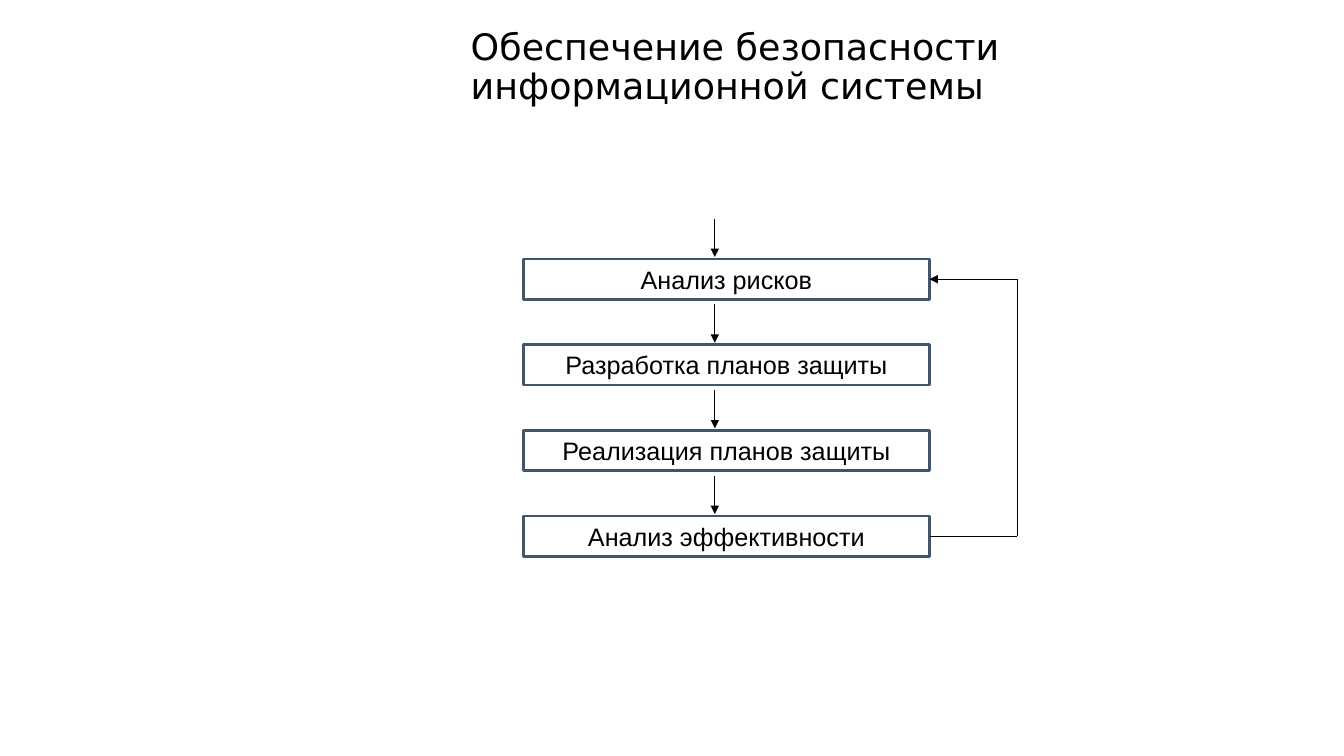
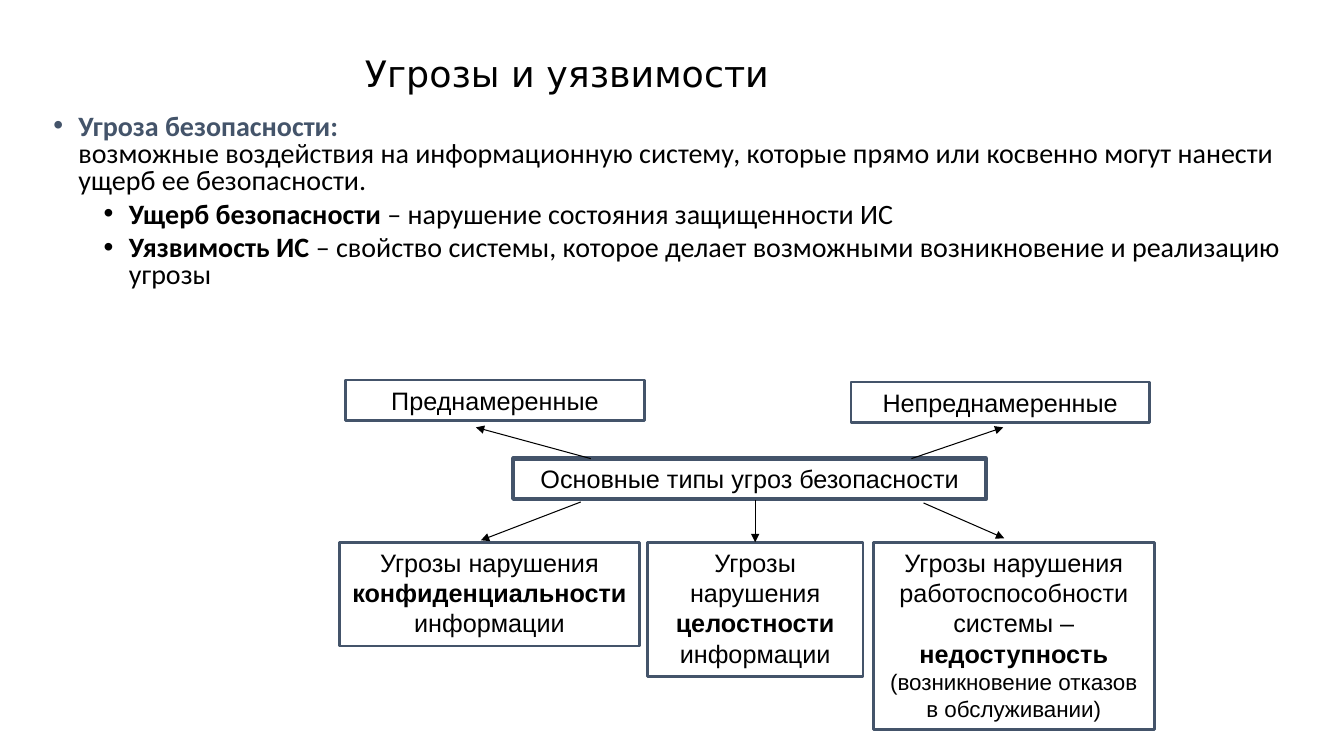
from lxml import etree
from pptx import Presentation
from pptx.dml.color import RGBColor
from pptx.enum.shapes import MSO_CONNECTOR, MSO_SHAPE
from pptx.enum.text import MSO_ANCHOR, MSO_AUTO_SIZE, PP_ALIGN
from pptx.oxml.ns import qn
from pptx.util import Inches, Pt

RECTANGLE, STRAIGHT = MSO_SHAPE.RECTANGLE, MSO_CONNECTOR.STRAIGHT
LEFT, CENTER = PP_ALIGN.LEFT, PP_ALIGN.CENTER
TOP, MIDDLE = MSO_ANCHOR.TOP, MSO_ANCHOR.MIDDLE
FIT = MSO_AUTO_SIZE.SHAPE_TO_FIT_TEXT
BOTTOM_SIDE_RIGHT, TOP_SIDE = 3, 0

# Theme
BLACK, SLATE = RGBColor(0, 0, 0), RGBColor(0x44, 0x54, 0x6A)
THEME = {
    "title": {"name": "DejaVu Sans", "size": Pt(26)},
    "body": {"name": "Calibri", "size": Pt(20)},
    "box": {"name": "Arial", "size": Pt(18)},
    "note": {"name": "Arial", "size": Pt(16)},
    "bold": {"bold": True},
    "outline": 2, "strong_outline": 3, "arrow": 0.75,
}
TITLE_SIZE = (7.65, 1.25)

# Content: security cycle
CYCLE_TITLE = "Обеспечение безопасности информационной системы"
CYCLE_STEPS = ["Анализ рисков", "Разработка планов защиты",
               "Реализация планов защиты", "Анализ эффективности"]
CYCLE_LEFT, CYCLE_TOP, CYCLE_PITCH = 5.19, 2.57, 0.85
STEP_WIDTH, STEP_HEIGHT = 4.03, 0.4
ARROW_X, RETURN_X = 7.09, 10.09

# Content: threats
THREATS_TITLE = "Угрозы и уязвимости"
# level, term, term colour, break after the term, explanation
DEFINITIONS = [
    (0, "Угроза безопасности:", SLATE, True,
     "возможные воздействия на информационную систему, которые прямо или "
     "косвенно могут нанести ущерб ее безопасности."),
    (1, "Ущерб безопасности", BLACK, False,
     " – нарушение состояния защищенности ИС"),
    (1, "Уязвимость ИС", BLACK, False,
     " – свойство системы, которое делает возможными возникновение и "
     "реализацию угрозы"),
]
# left, top, width, height, outline, runs as (text, bold, style)
THREAT_BOXES = {
    "types": (5.09, 4.55, 4.69, 0.4, "strong_outline",
              [("Основные типы угроз безопасности", False, "box")]),
    "intended": (3.43, 3.77, 2.96, 0.4, "outline",
                 [("Преднамеренные", False, "box")]),
    "unintended": (8.44, 3.79, 2.96, 0.4, "outline",
                   [("Непреднамеренные", False, "box")]),
    "confidentiality": (3.37, 5.38, 2.97, 1.03, "outline",
                        [("Угрозы нарушения ", False, "box"),
                         ("конфиденциальности", True, "box"),
                         (" информации", False, "box")]),
    "integrity": (6.42, 5.38, 2.14, 1.33, "outline",
                  [("Угрозы нарушения ", False, "box"),
                   ("целостности", True, "box"),
                   (" информации", False, "box")]),
    "availability": (8.66, 5.38, 2.79, 1.86, "outline",
                     [("Угрозы нарушения работоспособности системы – ", False, "box"),
                      ("недоступность ", True, "box"),
                      ("(возникновение отказов в обслуживании)", False, "note")]),
}
THREAT_ARROWS = [
    ((5.86, 4.55), (4.72, 4.24)), ((9.04, 4.55), (9.95, 4.24)),
    ((5.76, 4.98), (4.77, 5.36)), ((9.16, 4.99), (9.96, 5.34)),
]


def apply(target, values):
    for key, value in values.items():
        setattr(target, key, value)


def add_run(paragraph, text, style, bold=False, color=BLACK):
    run = paragraph.add_run()
    run.text = text
    apply(run.font, {**THEME[style], "bold": bold})
    run.font.color.rgb = color


def add_text(slide, place, anchor):
    frame = slide.shapes.add_textbox(*map(Inches, place)).text_frame
    apply(frame, {"word_wrap": True, "vertical_anchor": anchor})
    return frame


def add_title(slide, left, top, text):
    paragraph = add_text(slide, (left, top, *TITLE_SIZE), MIDDLE).paragraphs[0]
    apply(paragraph, {"alignment": LEFT, "line_spacing": 0.9})
    add_run(paragraph, text, "title")


def add_box(slide, left, top, width, height, outline, runs):
    box = slide.shapes.add_shape(RECTANGLE, *map(Inches, (left, top, width, height)))
    box.shadow.inherit = False
    box.fill.background()
    box.line.color.rgb = SLATE
    box.line.width = Pt(THEME[outline])
    apply(box.text_frame, {"word_wrap": True, "vertical_anchor": TOP, "auto_size": FIT})
    paragraph = box.text_frame.paragraphs[0]
    paragraph.alignment = CENTER
    for text, bold, style in runs:
        add_run(paragraph, text, style, bold)
    return box


def add_line(slide, start, end, arrow=True):
    line = slide.shapes.add_connector(STRAIGHT, *map(Inches, (*start, *end)))
    line.line.color.rgb = BLACK
    line.line.width = Pt(THEME["arrow"])
    properties = line.element.spPr
    if arrow:
        etree.SubElement(properties.find(qn("a:ln")), qn("a:tailEnd"), type="triangle")
    etree.SubElement(properties, qn("a:effectLst"))
    return line


def add_bullet(paragraph, level):
    properties = paragraph._p.get_or_add_pPr()
    properties.set("marL", str(Inches(0.25 + 0.5 * level)))
    properties.set("indent", str(-Inches(0.25)))
    etree.SubElement(properties, qn("a:buFont"), typeface="Arial")
    etree.SubElement(properties, qn("a:buChar"), char="•")


def build_cycle(slide):
    add_title(slide, 4.57, 0.05, CYCLE_TITLE)
    # Steps, each with an arrow coming in from above
    boxes = []
    for index, step in enumerate(CYCLE_STEPS):
        top = CYCLE_TOP + index * CYCLE_PITCH
        boxes.append(add_box(slide, CYCLE_LEFT, top, STEP_WIDTH, STEP_HEIGHT,
                             "outline", [(step, False, "box")]))
        add_line(slide, (ARROW_X, top - 0.4), (ARROW_X, top - 0.02))
    # Return path from the last step to the first
    right = CYCLE_LEFT + STEP_WIDTH
    first_y = CYCLE_TOP + STEP_HEIGHT / 2
    last_y = first_y + CYCLE_PITCH * (len(CYCLE_STEPS) - 1)
    way_out = add_line(slide, (right, last_y), (RETURN_X, last_y), arrow=False)
    way_out.begin_connect(boxes[-1], BOTTOM_SIDE_RIGHT)
    add_line(slide, (RETURN_X, last_y), (RETURN_X, first_y), arrow=False)
    way_back = add_line(slide, (RETURN_X, first_y), (right, first_y))
    way_back.end_connect(boxes[0], BOTTOM_SIDE_RIGHT)


def build_threats(slide):
    add_title(slide, 3.52, 0.13, THREATS_TITLE)
    # Definitions
    frame = add_text(slide, (0.43, 1.09, 12.42, 2.08), TOP)
    for index, (level, term, color, broken, meaning) in enumerate(DEFINITIONS):
        paragraph = frame.add_paragraph() if index else frame.paragraphs[0]
        add_bullet(paragraph, level)
        apply(paragraph, {"level": level, "line_spacing": 0.8,
                          "space_before": Pt(5 if index else 0)})
        add_run(paragraph, term, "body", True, color)
        if broken:
            paragraph.add_line_break()
        add_run(paragraph, meaning, "body")
    # Threat types
    boxes = {key: add_box(slide, *box) for key, box in THREAT_BOXES.items()}
    for start, end in THREAT_ARROWS:
        add_line(slide, start, end)
    left, top, width = THREAT_BOXES["integrity"][:3]
    middle = left + width / 2
    down = add_line(slide, (middle, 4.96), (middle, top))
    down.end_connect(boxes["integrity"], TOP_SIDE)


def main():
    deck = Presentation()
    deck.slide_width, deck.slide_height = Inches(13.33), Inches(7.5)
    for build in (build_cycle, build_threats):
        build(deck.slides.add_slide(deck.slide_layouts[6]))
    deck.save("out.pptx")


if __name__ == "__main__":
    main()
